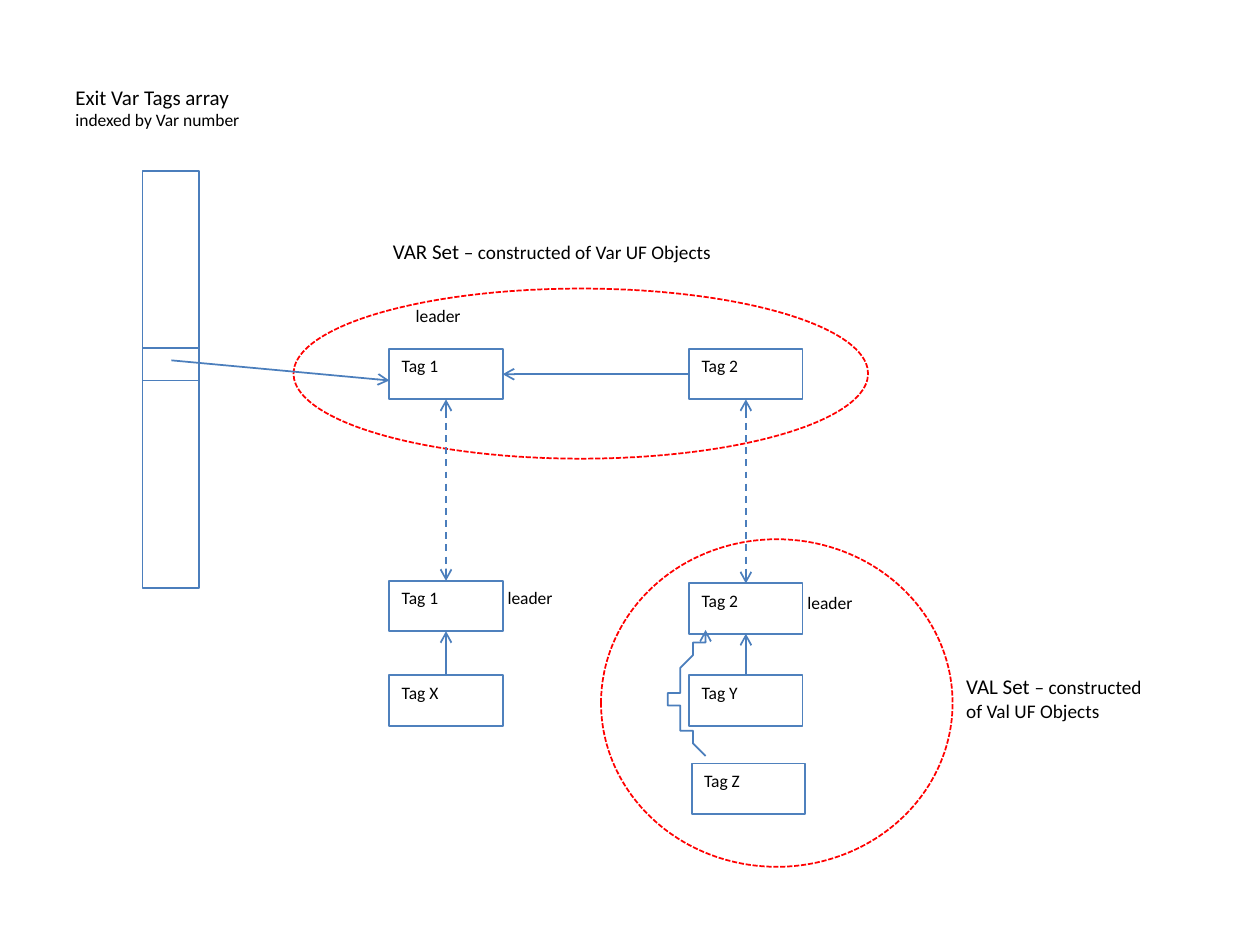
from lxml.etree import SubElement
from pptx import Presentation
from pptx.dml.color import RGBColor
from pptx.enum.dml import MSO_LINE as Dash
from pptx.enum.shapes import MSO_CONNECTOR as Link, MSO_SHAPE as Kind
from pptx.enum.text import MSO_ANCHOR as Anchor, PP_ALIGN as Align
from pptx.oxml.ns import qn
from pptx.util import Inches, Pt

deck = Presentation()
deck.slide_width, deck.slide_height = Inches(10), Inches(7.5)
shapes = deck.slides.add_slide(deck.slide_layouts[6]).shapes
unit = deck.slide_width // 100
hue = RGBColor.from_string
blue, edge, red, black = "4B7EBC", "4F81BD", "FF0000", "000000"


def trace(item, color, dash=None, ends=()):
    item.line.color.rgb = hue(color)
    item.line.width = Pt(1)
    if dash:
        item.line.dash_style = dash
    props = item.element.spPr
    for end in ends:
        SubElement(props.find(qn("a:ln")), qn(f"a:{end}"), type="arrow")
    SubElement(props, qn("a:effectLst"))


def write(item, runs, wrap=True):
    frame = item.text_frame
    frame.word_wrap = wrap
    frame.vertical_anchor = Anchor.TOP
    para = frame.paragraphs[0]
    para.alignment = Align.LEFT
    for words, size in runs:
        for row, part in enumerate(words.split("\n")):
            if row:
                para.add_line_break()
            if part:
                run = para.add_run()
                run.text = part
                style = {"name": "Calibri", "size": Pt(size)}
                for key, value in style.items():
                    setattr(run.font, key, value)
                run.font.color.rgb = hue(black)


left, right = 30.9, 54.7
wide, high = 9, 4
tags = {
    "var1": ("Tag 1", left, 27.7),
    "var2": ("Tag 2", right, 27.7),
    "val1": ("Tag 1", left, 46.1),
    "val2": ("Tag 2", right, 46.3),
    "x": ("Tag X", left, 53.6),
    "y": ("Tag Y", right, 53.6),
    "z": ("Tag Z", right + 0.2, 60.6),
}
boxes = {}
for name, (words, x, y) in tags.items():
    box = shapes.add_shape(Kind.RECTANGLE, *[int(n * unit) for n in (x, y, wide, high)])
    box.fill.background()
    trace(box, edge)
    write(box, [(words, 10)])
    boxes[name] = box

outlines = [
    (Kind.OVAL, (23.3, 22.9, 45.6, 13.5), red, Dash.SQUARE_DOT),
    (Kind.OVAL, (47.7, 42.8, 27.9, 26), red, Dash.SQUARE_DOT),
    (Kind.RECTANGLE, (11.3, 13.6, 4.5, 33.1), blue, None),
]
for kind, place, color, dash in outlines:
    shape = shapes.add_shape(kind, *[int(n * unit) for n in place])
    shape.fill.background()
    trace(shape, color, dash)

joins = [
    ("var2", 1, "var1", 3, None, ["tailEnd"]),
    ("x", 0, "val1", 2, None, ["tailEnd"]),
    ("y", 0, "val2", 2, None, ["tailEnd"]),
    ("var1", 2, "val1", 0, Dash.DASH, ["headEnd", "tailEnd"]),
    ("var2", 2, "val2", 0, Dash.DASH, ["headEnd", "tailEnd"]),
]
for start, out, stop, into, dash, ends in joins:
    line = shapes.add_connector(Link.STRAIGHT, 0, 0, 0, 0)
    line.begin_connect(boxes[start], out)
    line.end_connect(boxes[stop], into)
    trace(line, blue, dash, ends)

lines = [
    ((11.3, 27.6, 15.8, 27.6), []),
    ((11.3, 30.2, 15.8, 30.2), []),
    ((13.6, 28.6, left, 30.2), ["tailEnd"]),
]
for ends, heads in lines:
    line = shapes.add_connector(Link.STRAIGHT, *[int(n * unit) for n in ends])
    trace(line, blue, None, heads)

bends = [
    ((56.4, 60.5), (54.9, 58.8), (53.4, 57.2), (53.4, 55.5)),
    ((53.4, 55.5), (53.4, 53.8), (54.8, 52.1), (56.3, 50.3)),
]
steps = 16
points = []
for a, b, c, d in bends:
    for step in range(1, steps + 1):
        t = step / steps
        s = 1 - t
        points.append([s**3 * p + 3 * s * s * t * q + 3 * s * t * t * r + t**3 * e
                       for p, q, r, e in zip(a, b, c, d)])
path = shapes.build_freeform(*bends[0][0], scale=unit)
path.add_line_segments(points, close=False)
curve = path.convert_to_shape()
curve.fill.background()
trace(curve, blue, None, ["tailEnd"])

labels = [
    ((5, 6.2, 23.6, 7), True, [("Exit Var Tags array\n", 12), ("indexed by Var number", 10)]),
    ((30.2, 18.4, 35.2, 4.5), True, [("VAR Set ", 12), ("– constructed of Var UF Objects", 11)]),
    ((75.7, 53, 21, 7.2), True, [("VAL Set ", 12), ("– constructed \nof Val UF Objects", 11)]),
]
for x, y in [(32, 23.7), (39.3, 46.1), (63.1, 46.5)]:
    labels.append(((x, y, 6.8, 4), False, [("leader", 10)]))
for place, wrap, runs in labels:
    write(shapes.add_textbox(*[int(n * unit) for n in place]), runs, wrap)

deck.save("out.pptx")
